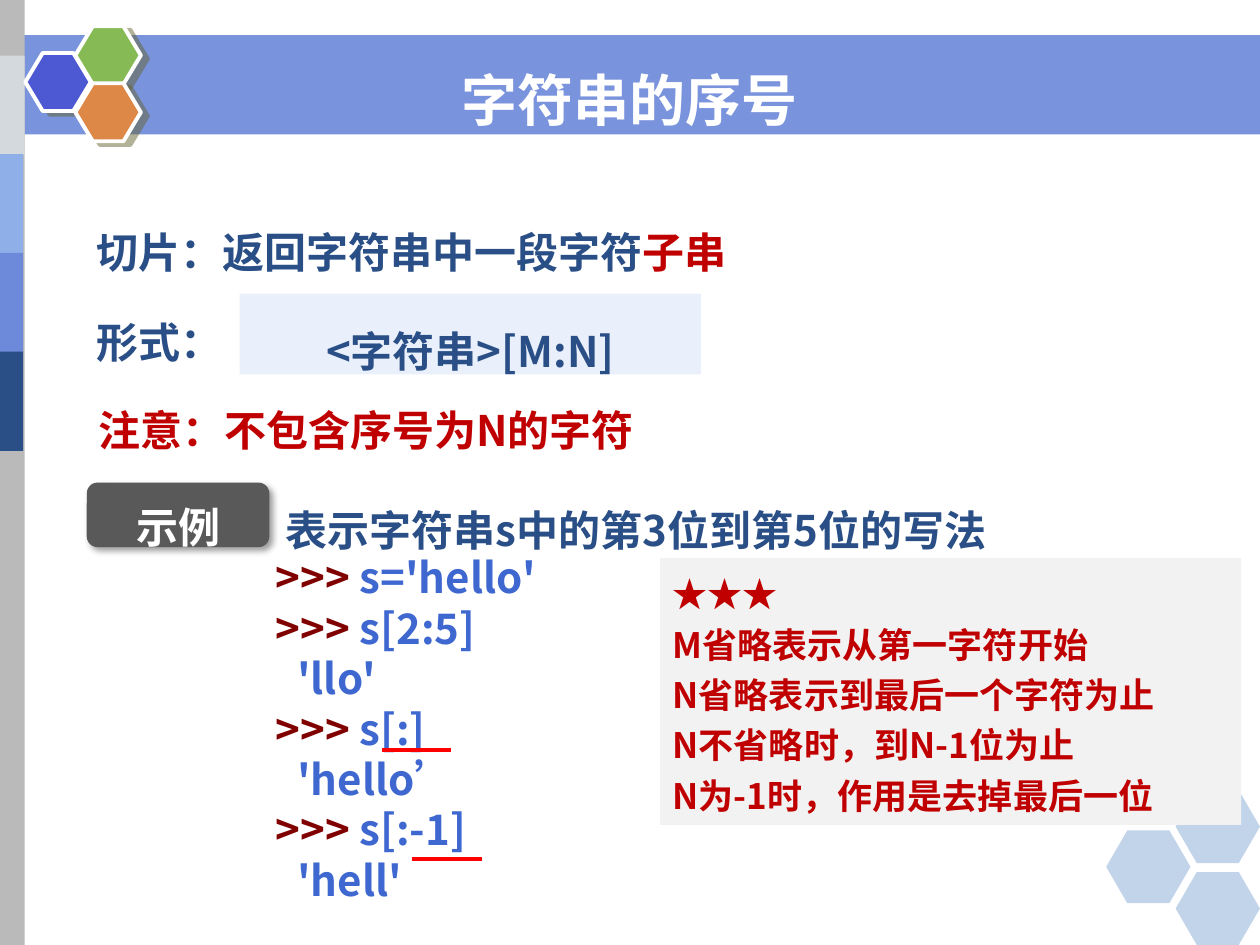
from pptx import Presentation
from pptx.dml.color import RGBColor
from pptx.enum.shapes import MSO_CONNECTOR, MSO_SHAPE
from pptx.enum.text import MSO_ANCHOR, PP_ALIGN
from pptx.oxml.ns import qn
from pptx.util import Cm, Pt
from lxml import etree

RECT, ROUND, HEX = MSO_SHAPE.RECTANGLE, MSO_SHAPE.ROUNDED_RECTANGLE, MSO_SHAPE.HEXAGON
LINE = MSO_CONNECTOR.STRAIGHT
LEFT, CENTER = PP_ALIGN.LEFT, PP_ALIGN.CENTER
TOP, MIDDLE = MSO_ANCHOR.TOP, MSO_ANCHOR.MIDDLE

COLORS = {
    "white": "FFFFFF", "gray": "BABABA", "silver": "D3D9DD", "sky": "8FAFE9",
    "blue": "6C89DA", "navy": "2A4F86", "indigo": "4C59D2", "green": "85BA54",
    "orange": "DE8848", "steel": "5086C2", "pale": "E9EFFB", "dark": "595959",
    "light": "F2F2F2", "crimson": "C00000", "maroon": "800000", "code": "3E68D0",
    "red": "FF0000", "olive": "666633", "black": "000000",
}


class Deck:
    font = "Noto Sans CJK SC"

    def __init__(self):
        self.prs = Presentation()
        self.prs.slide_width, self.prs.slide_height = Cm(25.4), Cm(19.05)
        self.slide = self.prs.slides.add_slide(self.prs.slide_layouts[6])

    def color(self, name):
        return RGBColor.from_string(COLORS[name])

    def shape(self, kind, box, fill, alpha=None, adj=None, edge=None):
        item = self.slide.shapes.add_shape(kind, *map(Cm, box))
        item.shadow.inherit = False
        item.fill.solid()
        item.fill.fore_color.rgb = self.color(fill)
        if alpha:
            tone = item.fill._xPr.find(qn("a:solidFill"))[0]
            etree.SubElement(tone, qn("a:alpha"), val=str(alpha * 1000))
        if adj:
            item.adjustments[0] = adj
        if edge:
            item.line.color.rgb = self.color(edge)
            item.line.width = Pt(2.25)
        else:
            item.line.fill.background()
        return item

    def shadow(self, item, name, alpha, blur, dist, angle):
        glow = item._element.spPr.find(qn("a:effectLst"))
        outer = etree.SubElement(
            glow, qn("a:outerShdw"), blurRad=str(Pt(blur)), dist=str(Pt(dist)),
            dir=str(angle * 60000), algn="tl", rotWithShape="0")
        tone = etree.SubElement(outer, qn("a:srgbClr"), val=COLORS[name])
        etree.SubElement(tone, qn("a:alpha"), val=str(alpha * 1000))

    def text(self, box, lines, **style):
        item = self.slide.shapes.add_textbox(*map(Cm, box))
        self.label(item, lines, **style)

    def label(self, item, lines, size=24, space=1.0, align=LEFT, anchor=TOP,
              font=None, wrap=True):
        frame = item.text_frame
        frame.word_wrap = wrap
        frame.vertical_anchor = anchor
        for i, parts in enumerate(lines):
            para = frame.add_paragraph() if i else frame.paragraphs[0]
            para.alignment = align
            para.line_spacing = space
            for words, name in parts:
                run = para.add_run()
                run.text = words
                run.font.size = Pt(size)
                run.font.bold = True
                run.font.name = font or self.font
                run.font.color.rgb = self.color(name)
                etree.SubElement(run.font._element, qn("a:ea"), typeface=self.font)

    def code(self, box, rows):
        lines = [[(">>>", "maroon"), (" " + words, "code")] if typed
                 else [(words, "code")] for typed, words in rows]
        item = self.slide.shapes.add_textbox(*map(Cm, box))
        self.label(item, lines)
        for (typed, _), para in zip(rows, item.text_frame.paragraphs):
            if not typed:
                para._p.get_or_add_pPr().set("marL", str(Cm(0.43)))

    def rule(self, left, top, width):
        item = self.slide.shapes.add_connector(
            LINE, Cm(left), Cm(top), Cm(left + width), Cm(top))
        item.line.color.rgb = self.color("red")
        item.line.width = Pt(2.25)
        etree.SubElement(item._element.spPr, qn("a:effectLst"))


def main():
    deck = Deck()

    deck.shape(RECT, (0, 0.71, 25.4, 2), "blue", alpha=91)
    deck.shape(RECT, (0, 0, 0.5, 19.05), "gray")
    for i, name in enumerate(("silver", "sky", "blue", "navy")):
        deck.shape(RECT, (0, 1.12 + 1.99 * i, 0.47 if i else 0.5, 2), name)
    for left, top, name in ((0.51, 1.07, "indigo"), (1.52, 0.53, "green"),
                            (1.52, 1.68, "orange")):
        cell = deck.shape(HEX, (left, top, 1.32, 1.17), name, adj=0.3, edge="white")
        deck.shadow(cell, "olive", 50, 0, 4.5, 27)
    for left, top in ((22.3, 16.74), (23.7, 15.93), (23.7, 17.58)):
        deck.shape(HEX, (left, top, 1.7, 1.47), "steel", alpha=35, adj=0.29)

    deck.text((0, 1.19, 25.4, 1.63), [[("字符串的序号", "white")]],
              size=32, align=CENTER, anchor=MIDDLE, font="DejaVu Sans")

    form = deck.shape(RECT, (4.83, 5.92, 9.3, 1.63), "pale")
    deck.label(form, [[("<字符串>[M:N]", "navy")]], space=1.5, align=CENTER)
    deck.text((1.7, 3.94, 16.92, 1.8),
              [[("切片：返回字符串中一段字符", "navy"), ("子串", "crimson")]], space=1.5)
    deck.text((5.51, 9.53, 19.23, 1.63),
              [[("表示字符串s中的第3位到第5位的写法", "navy")]], space=1.5)
    deck.text((1.73, 7.52, 12.98, 1.63),
              [[("注意：不包含序号为N的字符", "crimson")]], space=1.5)

    badge = deck.shape(ROUND, (1.75, 9.73, 3.68, 1.3), "dark")
    deck.shadow(badge, "black", 40, 4, 3, 45)
    deck.text((1.75, 9.78, 3.68, 1.37), [[("示例", "white")]],
              space=1.2, align=CENTER)
    deck.text((1.7, 6.25, 3.07, 1.27), [[("形式：", "navy")]], wrap=False)

    deck.code((5.31, 11, 12.7, 8.05), (
        (True, "s='hello'"), (True, "s[2:5]"), (False, "'llo'"),
        (True, "s[:]"), (False, "'hello’"), (True, "s[:-1]"), (False, "'hell'")))

    tips = ("★★★", "M省略表示从第一字符开始", "N省略表示到最后一个字符为止",
            "N不省略时，到N-1位为止", "N为-1时，作用是去掉最后一位")
    panel = deck.shape(RECT, (13.31, 11.25, 11.71, 5.38), "light")
    deck.label(panel, [[(tip, "crimson")] for tip in tips], size=20, space=1.2)

    for left, top in ((7.7, 15.11), (8.31, 17.32)):
        deck.rule(left, top, 1.4)

    deck.prs.save("out.pptx")


if __name__ == "__main__":
    main()
